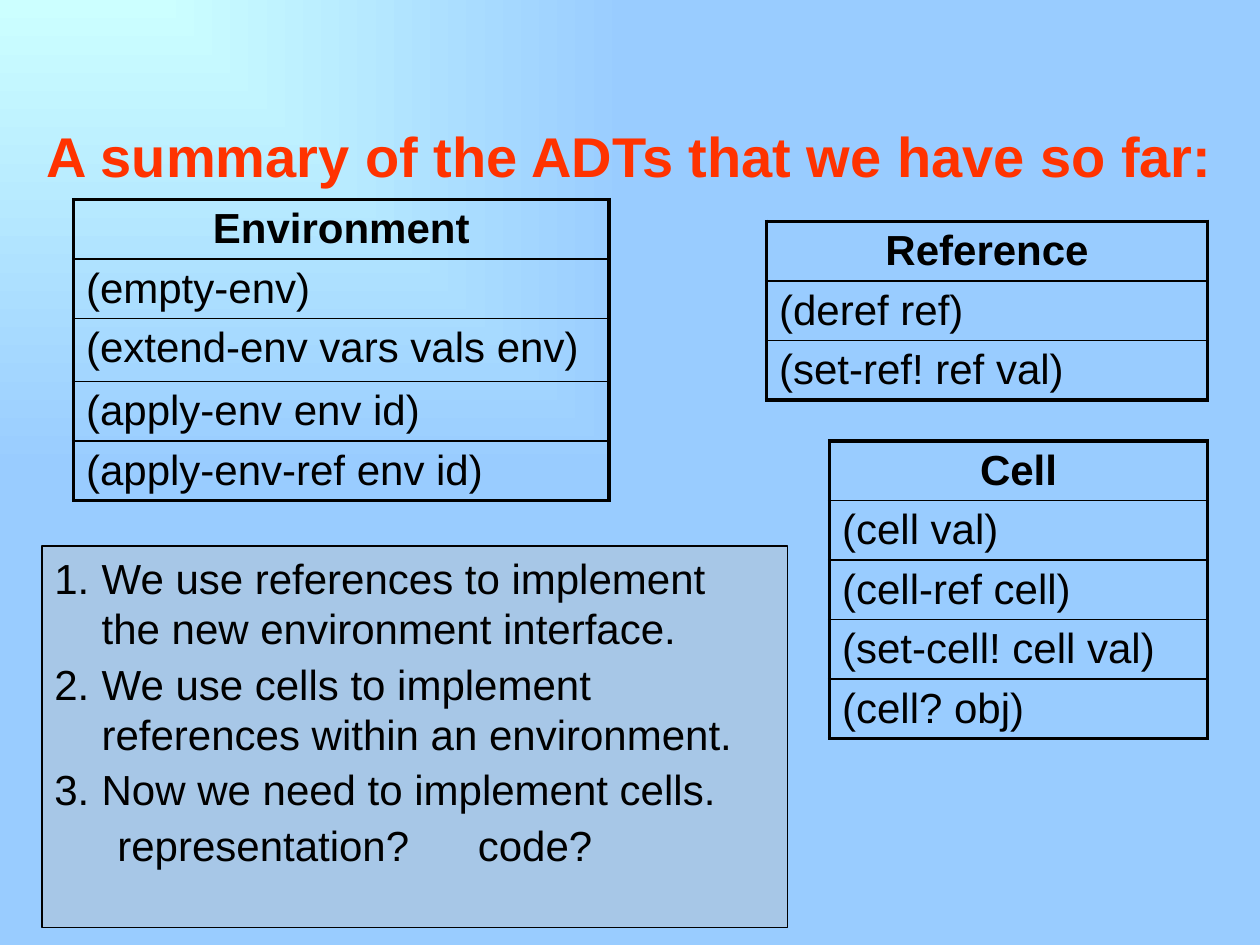
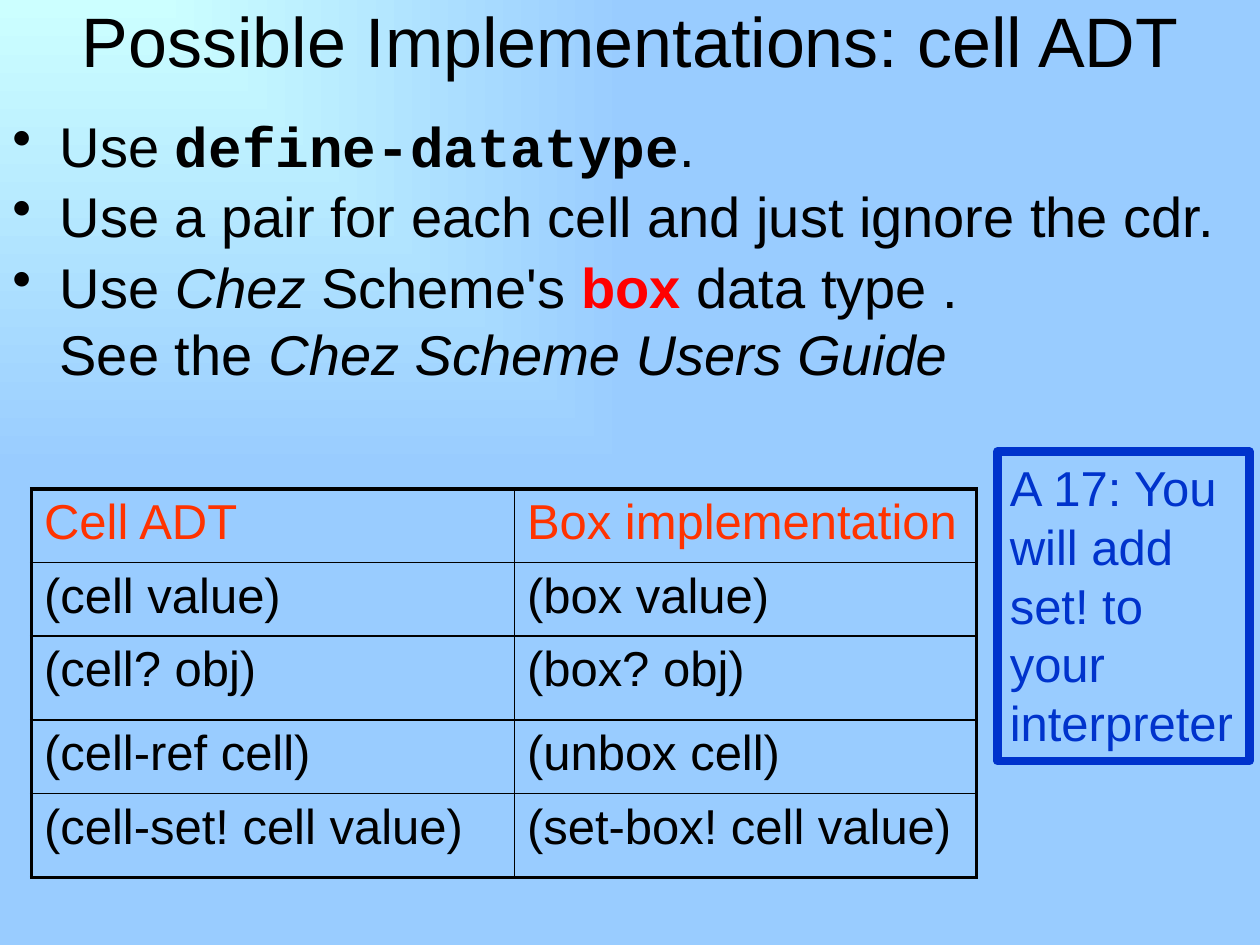
from lxml import etree
from pptx import Presentation
from pptx.dml.color import RGBColor
from pptx.enum.shapes import MSO_SHAPE
from pptx.enum.text import MSO_ANCHOR, MSO_AUTO_SIZE, PP_ALIGN
from pptx.oxml.ns import qn
from pptx.util import Pt

RECTANGLE = MSO_SHAPE.RECTANGLE
TOP, MIDDLE = MSO_ANCHOR.TOP, MSO_ANCHOR.MIDDLE
LEFT, CENTER = PP_ALIGN.LEFT, PP_ALIGN.CENTER
NO_AUTOFIT = MSO_AUTO_SIZE.NONE

COLORS = {
    "glow": "CCFFFF", "sky": "99CCFF", "ink": "000000", "accent": "FF3300",
    "red": "FF0000", "blue": "0033CC", "gray": "C0C0C0",
}
FONT, CODE_FONT = "Arial", "Courier New"
OUTER_BORDER, INNER_BORDER = 2.25, 1
LINE_FACTOR = 1.2      # line height of running text, relative to its size
HANGING = 27           # hanging indent of list items
TITLE_ONLY_LAYOUT = 5

# Content. A text is a list of runs, each a (text, style) pair.
SUMMARY_TITLE = [("A summary of the ADTs that we have so far:",
                  {"color": "accent", "bold": True})]
ADT_TABLES = [
    {"rows": ["Environment", "(empty-env)", "(extend-env vars vals env)",
              "(apply-env env id)", "(apply-env-ref env id)"],
     "at": (42, 114), "width": 306, "heights": [34, 34, 36, 34, 34]},
    {"rows": ["Reference", "(deref ref)", "(set-ref! ref val)"],
     "at": (438, 126.5), "width": 252, "heights": [34] * 3},
    {"rows": ["Cell", "(cell val)", "(cell-ref cell)", "(set-cell! cell val)",
              "(cell? obj)"],
     "at": (474, 252), "width": 216, "heights": [34] * 5},
]
STEPS = [
    "We use references to implement the new environment interface.",
    "We use cells to implement references within an environment.",
    "Now we need to implement cells.",
]
QUESTIONS = ["representation?", "code?"]
QUESTION_STOPS = [36, 242]

CELL_TITLE = [("Possible Implementations: cell ADT", {})]
OPTIONS = [
    [("Use ", {}), ("define-datatype", {"font": CODE_FONT, "bold": True}),
     (".", {})],
    [("Use a pair for each cell and just ignore the cdr.", {})],
    [("Use ", {}), ("Chez ", {"italic": True}), ("Scheme's ", {}),
     ("box ", {"color": "red", "bold": True}), ("data type .", {}),
     None,
     ("See the ", {}), ("Chez Scheme Users Guide", {"italic": True})],
]
BOX_ROWS = [
    ("Cell ADT", "Box implementation"),
    ("(cell value)", "(box value)"),
    ("(cell? obj)", "(box? obj)"),
    ("(cell-ref cell)", "(unbox cell)"),
    ("(cell-set! cell value)", "(set-box! cell value)"),
]
ASSIGNMENT = [("A 17: You will add set! to your interpreter", {"color": "blue"})]


def rgb(name):
    return RGBColor.from_string(COLORS[name])


def points(*lengths):
    return [Pt(length) for length in lengths]


def add_runs(paragraph, runs, size):
    """Add styled runs; None stands for a line break."""
    for item in runs:
        if item is None:
            paragraph.add_line_break()
            continue
        text, style = item
        run = paragraph.add_run()
        run.text = text
        font = run.font
        font.name = style.get("font", FONT)
        font.size = Pt(size)
        font.bold = style.get("bold", False)
        font.italic = style.get("italic", False)
        font.color.rgb = rgb(style.get("color", "ink"))


def fill_frame(frame, paragraphs, size, align=LEFT, anchor=TOP, space=0):
    """Write paragraphs (lists of runs) and return the paragraph objects."""
    frame.word_wrap = True
    frame.auto_size = NO_AUTOFIT
    frame.vertical_anchor = anchor
    for index, runs in enumerate(paragraphs):
        paragraph = frame.add_paragraph() if index else frame.paragraphs[0]
        paragraph.alignment = align
        paragraph.line_spacing = Pt(size * LINE_FACTOR)
        paragraph.space_before = Pt(space if index else 0)
        add_runs(paragraph, runs, size)
    return frame.paragraphs


def set_bullet(paragraph, tag, **attributes):
    properties = paragraph._p.get_or_add_pPr()
    properties.set("marL", str(Pt(HANGING)))
    properties.set("indent", str(-Pt(HANGING)))
    etree.SubElement(properties, qn(tag), attributes)


def set_tab_stops(paragraph, stops):
    tabs = etree.SubElement(paragraph._p.get_or_add_pPr(), qn("a:tabLst"))
    for stop in stops:
        etree.SubElement(tabs, qn("a:tab"), pos=str(Pt(stop)), algn="l")


def set_borders(cell, widths):
    """Draw the left, right, top and bottom borders, in that order."""
    properties = cell._tc.get_or_add_tcPr()
    for index, (side, width) in enumerate(zip("LRTB", widths)):
        line = etree.Element(qn(f"a:ln{side}"), w=str(Pt(width)))
        fill = etree.SubElement(line, qn("a:solidFill"))
        etree.SubElement(fill, qn("a:srgbClr"), val=COLORS["ink"])
        properties.insert(index, line)


def add_grid(slide, rows, at, widths, heights, size, header, header_align):
    """Add an unfilled table with a heavy frame and thin inner rules."""
    row_count, column_count = len(rows), len(widths)
    table = slide.shapes.add_table(
        row_count, column_count,
        *points(*at, sum(widths), sum(heights))).table
    table.first_row = table.horz_banding = False
    for column, width in zip(table.columns, widths):
        column.width = Pt(width)
    for row, height in zip(table.rows, heights):
        row.height = Pt(height)
    for r, texts in enumerate(rows):
        for c, text in enumerate(texts):
            cell = table.cell(r, c)
            cell.fill.background()
            paragraph = cell.text_frame.paragraphs[0]
            paragraph.alignment = LEFT if r else header_align
            add_runs(paragraph, [(text, {} if r else header)], size)
            on_frame = (c == 0, c == column_count - 1,
                        r == 0, r == row_count - 1)
            set_borders(cell, [OUTER_BORDER if outer else INNER_BORDER
                               for outer in on_frame])


def add_box(slide, at, line_color, line_width):
    shape = slide.shapes.add_shape(RECTANGLE, *points(*at))
    shape.shadow.inherit = False
    shape.fill.background()
    shape.line.color.rgb = rgb(line_color)
    shape.line.width = Pt(line_width)
    return shape


def add_titled_slide(presentation, runs, at, size, anchor):
    slide = presentation.slides.add_slide(
        presentation.slide_layouts[TITLE_ONLY_LAYOUT])
    title = slide.shapes.title
    title.left, title.top, title.width, title.height = points(*at)
    fill_frame(title.text_frame, [runs], size, CENTER, anchor)
    return slide


def set_background(master):
    """Corner glow shared by all slides."""
    fill = master.background.fill
    fill.gradient()
    for stop, position, color in zip(fill.gradient_stops, (0, 1),
                                     ("glow", "sky")):
        stop.position = position
        stop.color.rgb = rgb(color)
    gradient = master.element.find(".//" + qn("a:gradFill"))
    linear = gradient.find(qn("a:lin"))
    if linear is not None:
        gradient.remove(linear)
    shade = etree.SubElement(gradient, qn("a:path"))
    shade.set("path", "rect")
    etree.SubElement(shade, qn("a:fillToRect"), r="100000", b="100000")


def build_summary(presentation):
    slide = add_titled_slide(presentation, SUMMARY_TITLE,
                             (0, 66, 720, 78), 32, TOP)
    for adt in ADT_TABLES:
        add_grid(slide, [(text,) for text in adt["rows"]], adt["at"],
                 [adt["width"]], adt["heights"], 24, {"bold": True}, CENTER)

    # Numbered steps, then the open questions on tab stops
    box = add_box(slide, (24, 312, 426, 218), "ink", 0.75)
    box.fill.solid()
    box.fill.fore_color.rgb = rgb("gray")
    color = box.fill._xPr.find(".//" + qn("a:srgbClr"))
    etree.SubElement(color, qn("a:alpha"), val="37000")
    questions = "".join("\t" + question for question in QUESTIONS)
    *steps, last = fill_frame(
        box.text_frame, [[(text, {})] for text in STEPS + [questions]],
        24, space=2.9)
    for paragraph in steps:
        set_bullet(paragraph, "a:buAutoNum", type="arabicPeriod")
    set_tab_stops(last, QUESTION_STOPS)


def build_cell_adt(presentation):
    slide = add_titled_slide(presentation, CELL_TITLE,
                             (36, 0, 648, 44.6), 40, MIDDLE)
    body = slide.shapes.add_textbox(*points(0, 60, 720, 186))
    for paragraph in fill_frame(body.text_frame, OPTIONS, 32, space=1.9):
        set_bullet(paragraph, "a:buChar", char="•")

    add_grid(slide, BOX_ROWS, (18, 279.5), [276, 264], [42, 42, 48, 42, 48],
             28, {"color": "accent"}, LEFT)

    # Assignment note
    note = add_box(slide, (570, 258, 144, 177), "blue", 4.75)
    fill_frame(note.text_frame, [ASSIGNMENT], 28)


def main():
    presentation = Presentation()
    presentation.slide_width, presentation.slide_height = points(720, 540)
    set_background(presentation.slide_master)
    build_summary(presentation)
    build_cell_adt(presentation)
    presentation.save("out.pptx")


if __name__ == "__main__":
    main()
